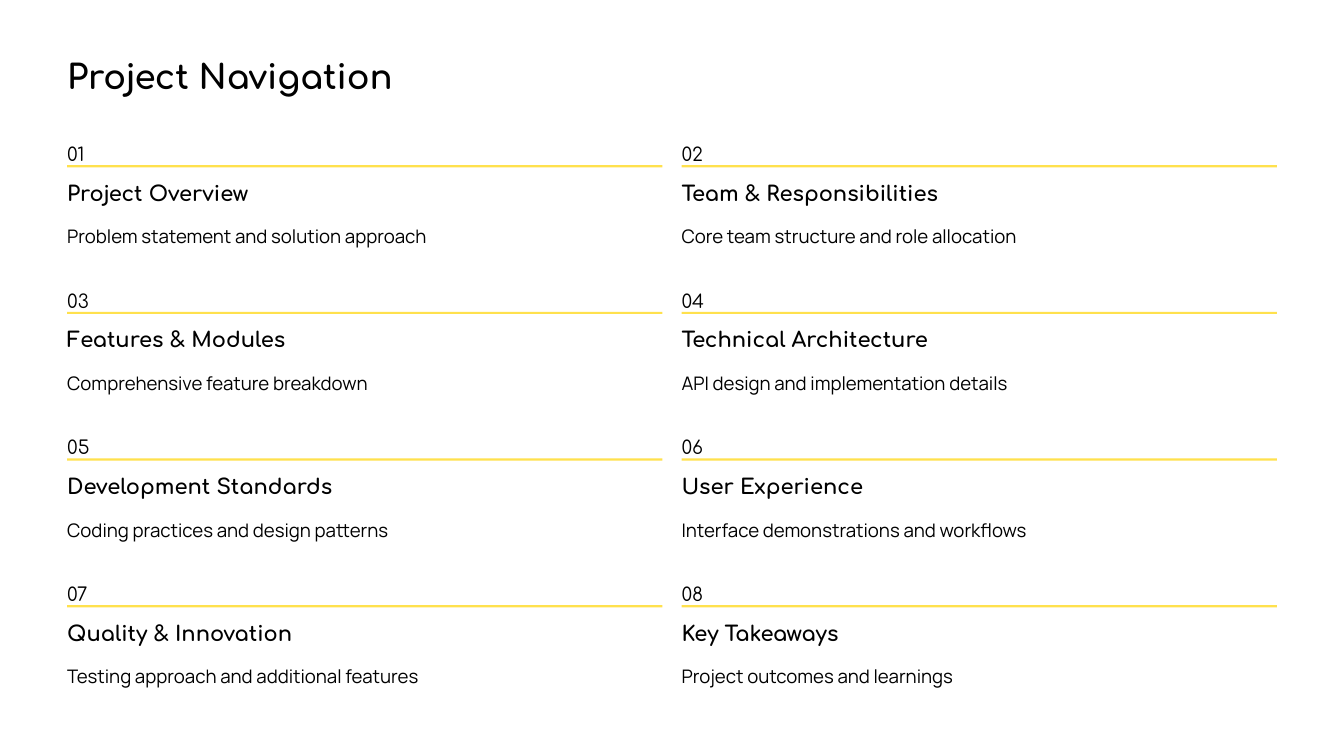
import pptx
import pptx.dml.color
import pptx.enum.shapes
import pptx.enum.text
import pptx.util

Pt = pptx.util.Pt

COLORS = {"background": "FFFFFF", "text": "000000", "rule": "FFE14D"}

STYLES = {
    "title": {"name": "Comfortaa", "size": Pt(29), "bold": True},
    "number": {"name": "Comfortaa", "size": Pt(16), "bold": False},
    "heading": {"name": "Comfortaa", "size": Pt(18), "bold": True},
    "description": {"name": "Manrope", "size": Pt(16), "bold": False},
}
LINE_SPACING = {"title": 36.5, "number": 26, "heading": 22.5, "description": 26}

# Heading, heading width, description
SECTIONS = [
    ("Project Overview", 182.9, "Problem statement and solution approach"),
    ("Team & Responsibilities", 223.2, "Core team structure and role allocation"),
    ("Features & Modules", 189.4, "Comprehensive feature breakdown"),
    ("Technical Architecture", 214.6, "API design and implementation details"),
    ("Development Standards", 230.4, "Coding practices and design patterns"),
    ("User Experience", 182.9, "Interface demonstrations and workflows"),
    ("Quality & Innovation", 195.8, "Testing approach and additional features"),
    ("Key Takeaways", 182.9, "Project outcomes and learnings"),
]
COLUMNS = 2
LEFT, TOP = 57.6, 115.5
COLUMN_STEP, ROW_STEP = 526.6, 125.73
COLUMN_WIDTH = 510.2


def color(name):
    return pptx.dml.color.RGBColor.from_string(COLORS[name])


class NavigationSlide:
    def __init__(self, presentation):
        self.slide = presentation.slides.add_slide(presentation.slide_layouts[6])
        fill = self.slide.background.fill
        fill.solid()
        fill.fore_color.rgb = color("background")

    def text(self, style, text, left, top, width, height):
        shape = self.slide.shapes.add_textbox(Pt(left), Pt(top), Pt(width), Pt(height))
        frame = shape.text_frame
        frame_format = {
            "margin_left": 0, "margin_top": 0, "margin_right": 0, "margin_bottom": 0,
            "word_wrap": False, "vertical_anchor": pptx.enum.text.MSO_ANCHOR.TOP,
        }
        for name, value in frame_format.items():
            setattr(frame, name, value)
        paragraph = frame.paragraphs[0]
        paragraph.line_spacing = Pt(LINE_SPACING[style])
        run = paragraph.add_run()
        run.text = text
        for name, value in STYLES[style].items():
            setattr(run.font, name, value)
        run.font.color.rgb = color("text")

    def rule(self, left, top, width, height):
        shape = self.slide.shapes.add_shape(
            pptx.enum.shapes.MSO_SHAPE.RECTANGLE, Pt(left), Pt(top), Pt(width), Pt(height))
        shape.shadow.inherit = False
        shape.fill.solid()
        shape.fill.fore_color.rgb = color("rule")
        shape.line.fill.background()

    def section(self, index, heading, heading_width, description):
        row, column = divmod(index, COLUMNS)
        left = LEFT + column * COLUMN_STEP
        top = TOP + row * ROW_STEP
        self.text("number", f"{index + 1:02}", left, top, 21, 20.9)
        self.rule(left, top + 26, COLUMN_WIDTH, 1.9)
        self.text("heading", heading, left, top + 38, heading_width, 23)
        self.text("description", description, left, top + 70.7, COLUMN_WIDTH, 26.6)


def main():
    presentation = pptx.Presentation()
    presentation.slide_width = Pt(1152)
    presentation.slide_height = Pt(648)
    navigation = NavigationSlide(presentation)
    navigation.text("title", "Project Navigation", LEFT, 46.1, 292.3, 36.7)
    for index, section in enumerate(SECTIONS):
        navigation.section(index, *section)
    presentation.save("out.pptx")


if __name__ == "__main__":
    main()
